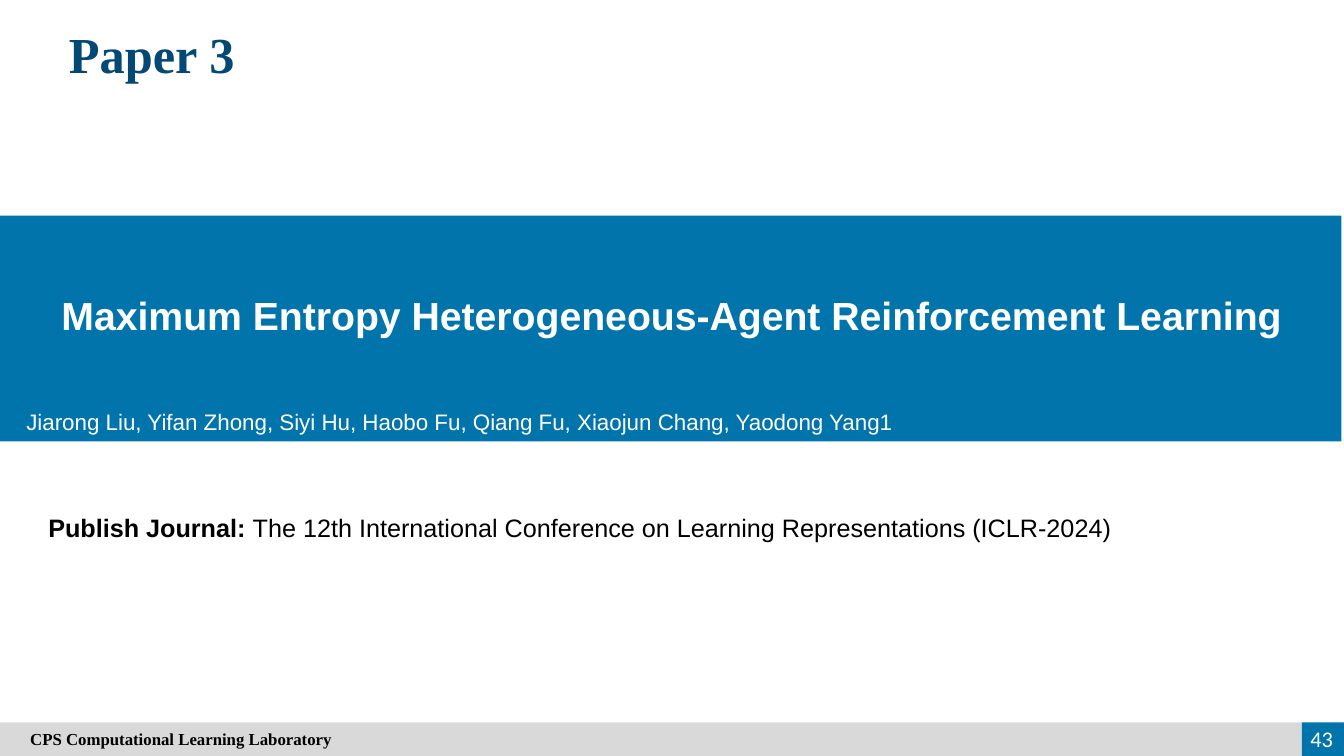
from dataclasses import dataclass

from pptx import Presentation
from pptx.dml.color import RGBColor
from pptx.enum.shapes import MSO_SHAPE
from pptx.enum.text import MSO_ANCHOR, MSO_AUTO_SIZE, PP_ALIGN
from pptx.util import Pt

RECTANGLE = MSO_SHAPE.RECTANGLE
TOP, MIDDLE = MSO_ANCHOR.TOP, MSO_ANCHOR.MIDDLE
LEFT, CENTER, RIGHT = PP_ALIGN.LEFT, PP_ALIGN.CENTER, PP_ALIGN.RIGHT
NO_AUTOFIT = MSO_AUTO_SIZE.NONE


@dataclass(frozen=True)
class Theme:
    """Colours, fonts and type sizes of the slide."""
    blue: RGBColor = RGBColor(0x01, 0x74, 0xAB)
    navy: RGBColor = RGBColor(0x04, 0x48, 0x75)
    grey: RGBColor = RGBColor(0xD9, 0xD9, 0xD9)
    white: RGBColor = RGBColor(0xFF, 0xFF, 0xFF)
    black: RGBColor = RGBColor(0, 0, 0)
    sans: str = "Arial"
    serif: str = "Times New Roman"
    number: str = "Calibri"
    heading_size: int = 36
    paper_size: int = 28
    journal_size: int = 18
    small_size: int = 16
    footer_size: int = 12


THEME = Theme()


def write(holder, runs, font, size, color, align=LEFT, anchor=TOP):
    """Write (text, bold) runs as the only paragraph and return it."""
    frame = holder.text_frame
    frame.word_wrap = True
    frame.auto_size = NO_AUTOFIT
    frame.vertical_anchor = anchor
    paragraph = frame.paragraphs[0]
    paragraph.alignment = align
    for text, bold in runs:
        run = paragraph.add_run()
        run.text = text
        run.font.name = font
        run.font.size = Pt(size)
        run.font.bold = bold
        run.font.color.rgb = color
    return paragraph


def add_panel(slide, left, top, width, height, color):
    """Add a plain filled rectangle."""
    panel = slide.shapes.add_shape(
        RECTANGLE, Pt(left), Pt(top), Pt(width), Pt(height))
    panel.shadow.inherit = False
    panel.fill.solid()
    panel.fill.fore_color.rgb = color
    panel.line.fill.background()
    return panel


def add_label(slide, left, top, width, height):
    """Add an empty text box."""
    return slide.shapes.add_textbox(Pt(left), Pt(top), Pt(width), Pt(height))


def add_heading(slide, left, top, width, height):
    """Place the slide heading in the title placeholder."""
    heading = slide.shapes.title
    heading.left, heading.top = Pt(left), Pt(top)
    heading.width, heading.height = Pt(width), Pt(height)
    write(heading, [("Paper 3", True)], THEME.serif, THEME.heading_size,
          THEME.navy, CENTER)


def add_paper_band(slide, left, top, width, height):
    """Draw the blue band with the paper title and its authors."""
    add_panel(slide, left, top, width, height, THEME.blue)
    paper = add_label(slide, left - 42, top + 36.7, width + 91, 52)
    paragraph = write(
        paper,
        [("Maximum Entropy Heterogeneous-Agent Reinforcement Learning", True)],
        THEME.sans, THEME.paper_size, THEME.white, CENTER, MIDDLE)
    paragraph.line_spacing = 1.5
    authors = add_label(slide, left + 17.5, top + height - 27.4, width + 22, 26.6)
    write(authors,
          [("Jiarong Liu, Yifan Zhong, Siyi Hu, Haobo Fu, Qiang Fu, "
            "Xiaojun Chang, Yaodong Yang1", False)],
          THEME.sans, THEME.small_size, THEME.white)


def add_journal(slide, left, top, width, height):
    """Write where the paper was published."""
    journal = add_label(slide, left, top, width, height)
    write(journal,
          [("Publish Journal: ", True),
           ("The 12th International Conference on Learning Representations "
            "(ICLR-2024)", False)],
          THEME.sans, THEME.journal_size, THEME.black)


def add_footer(slide, left, top, width, height):
    """Draw the footer bar with the laboratory name and page number."""
    corner_width = 30.3
    bar_width = width - corner_width
    add_panel(slide, left + bar_width, top, corner_width, height, THEME.blue)
    laboratory = add_panel(slide, left, top, bar_width, height, THEME.grey)
    write(laboratory, [("CPS Computational Learning Laboratory", True)],
          THEME.serif, THEME.footer_size, THEME.black, anchor=MIDDLE)
    laboratory.text_frame.margin_left = Pt(21.6)
    page = add_label(slide, left + width - 46, top - 2.7, 45.3, 28.8)
    write(page, [("43", False)], THEME.number, THEME.small_size,
          THEME.white, RIGHT, MIDDLE)


def main():
    """Build and save the slide."""
    deck = Presentation()
    deck.slide_width, deck.slide_height = Pt(960), Pt(540)
    slide = deck.slides.add_slide(deck.slide_layouts[5])
    add_paper_band(slide, -5.8, 154.1, 964, 161.3)
    add_heading(slide, 27.4, 13, 162, 51)
    add_footer(slide, 0, 516, 960, 24)
    add_journal(slide, 27.4, 362.2, 815, 51)
    deck.save("out.pptx")


if __name__ == "__main__":
    main()
